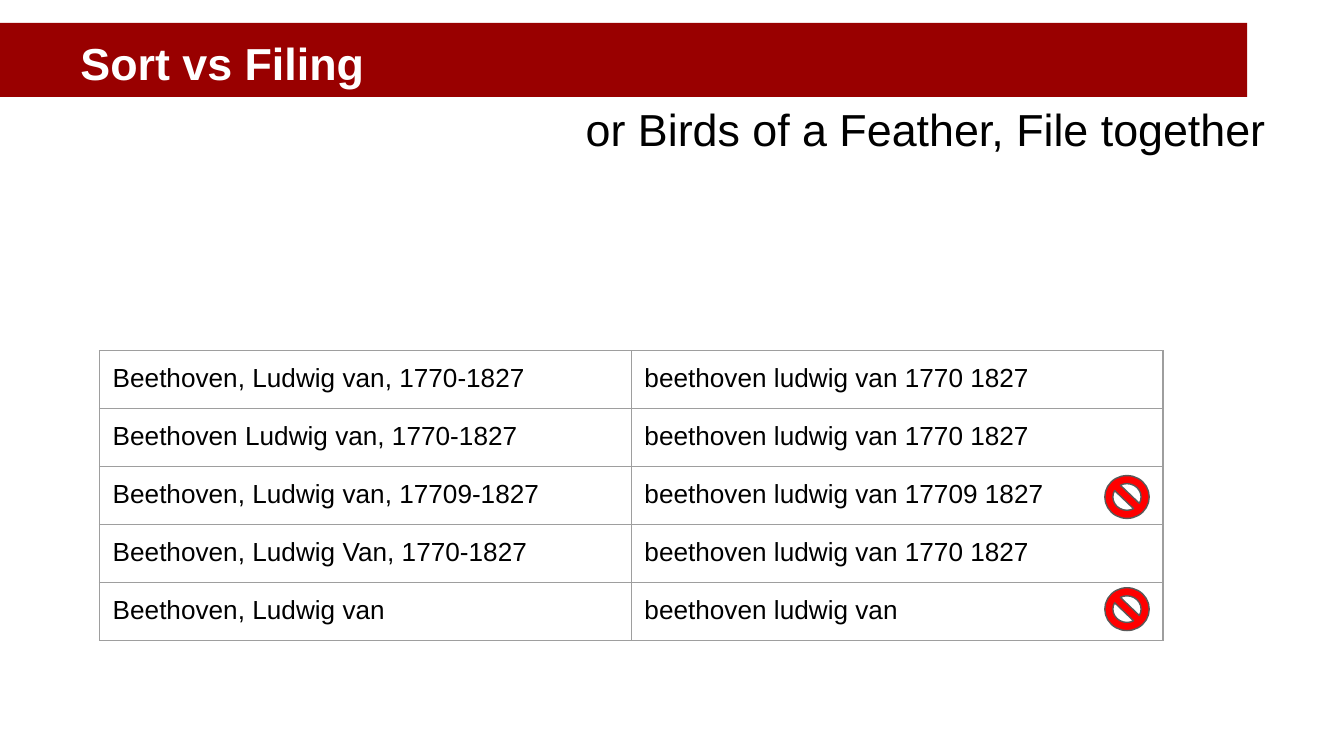
from lxml.etree import SubElement
from pptx import Presentation
from pptx.dml.color import RGBColor
from pptx.enum.shapes import MSO_SHAPE
from pptx.enum.text import MSO_ANCHOR, MSO_AUTO_SIZE, PP_ALIGN
from pptx.oxml.ns import qn
from pptx.util import Cm, Pt

DARK_RED = RGBColor(0x99, 0x00, 0x00)
RED = RGBColor(0xFF, 0x00, 0x00)
WHITE = RGBColor(0xFF, 0xFF, 0xFF)
BLACK = RGBColor(0x00, 0x00, 0x00)
GREY = RGBColor(0x9E, 0x9E, 0x9E)
DARK_GREY = RGBColor(0x59, 0x59, 0x59)

TABLE_LEFT, TABLE_TOP = 1.88, 6.63
COLUMN_WIDTH, ROW_HEIGHT = 10.05, 1.06
HEADINGS = [
    ("Beethoven, Ludwig van, 1770-1827", "beethoven ludwig van 1770 1827"),
    ("Beethoven Ludwig van, 1770-1827", "beethoven ludwig van 1770 1827"),
    ("Beethoven, Ludwig van, 17709-1827", "beethoven ludwig van 17709 1827"),
    ("Beethoven, Ludwig Van, 1770-1827", "beethoven ludwig van 1770 1827"),
    ("Beethoven, Ludwig van", "beethoven ludwig van"),
]
MISFILED_ROWS = (2, 4)


def write_text(frame, text, size=24, color=BLACK, bold=False, indent=0):
    frame.word_wrap = True
    frame.vertical_anchor = MSO_ANCHOR.TOP
    frame.margin_left = frame.margin_right = Cm(0.25)
    frame.margin_top = frame.margin_bottom = Cm(0.25)
    para = frame.paragraphs[0]
    para.alignment = PP_ALIGN.LEFT
    para._p.get_or_add_pPr().set("indent", str(Cm(indent)))
    span = para.add_run()
    span.text = text
    span.font.name = "Arial"
    span.font.size = Pt(size)
    span.font.bold = bold
    span.font.color.rgb = color


def add_borders(cell):
    properties = cell._tc.get_or_add_tcPr()
    for side in ("lnL", "lnR", "lnT", "lnB"):
        line = SubElement(properties, qn(f"a:{side}"), w=str(Pt(0.75)))
        fill = SubElement(line, qn("a:solidFill"))
        SubElement(fill, qn("a:srgbClr"), val=str(GREY))


deck = Presentation()
deck.slide_width, deck.slide_height = Cm(25.4), Cm(14.29)
page = deck.slides.add_slide(deck.slide_layouts[5])

# Title bar and subtitle
title = page.shapes.title
title.left, title.top, title.width, title.height = Cm(0), Cm(0.43), Cm(23.57), Cm(1.4)
title.fill.solid()
title.fill.fore_color.rgb = DARK_RED
title.text_frame.auto_size = MSO_AUTO_SIZE.NONE
write_text(title.text_frame, "Sort vs Filing", color=WHITE, bold=True, indent=1.27)

subtitle = page.shapes.add_textbox(Cm(10.82), Cm(1.68), Cm(14.2), Cm(1.4))
write_text(subtitle.text_frame, "or Birds of a Feather, File together")

# Headings beside their filing forms
table = page.shapes.add_table(
    len(HEADINGS), 2, Cm(TABLE_LEFT), Cm(TABLE_TOP),
    Cm(2 * COLUMN_WIDTH), Cm(len(HEADINGS) * ROW_HEIGHT),
).table
table.first_row = table.horz_banding = False
for column in table.columns:
    column.width = Cm(COLUMN_WIDTH)
for row, texts in enumerate(HEADINGS):
    table.rows[row].height = Cm(ROW_HEIGHT)
    for column, text in enumerate(texts):
        cell = table.cell(row, column)
        write_text(cell.text_frame, text, size=14)
        cell.margin_left = cell.margin_right = Cm(0.25)
        cell.margin_top = cell.margin_bottom = Cm(0.25)
        add_borders(cell)
        cell.fill.background()

# Signs on the rows that file apart
for row in MISFILED_ROWS:
    sign = page.shapes.add_shape(
        MSO_SHAPE.NO_SYMBOL, Cm(20.88), Cm(TABLE_TOP + row * ROW_HEIGHT + 0.24),
        Cm(0.84), Cm(0.81),
    )
    sign.adjustments[0] = 0.19
    sign.shadow.inherit = False
    sign.fill.solid()
    sign.fill.fore_color.rgb = RED
    sign.line.color.rgb = DARK_GREY
    sign.line.width = Pt(0.75)

deck.save("out.pptx")
